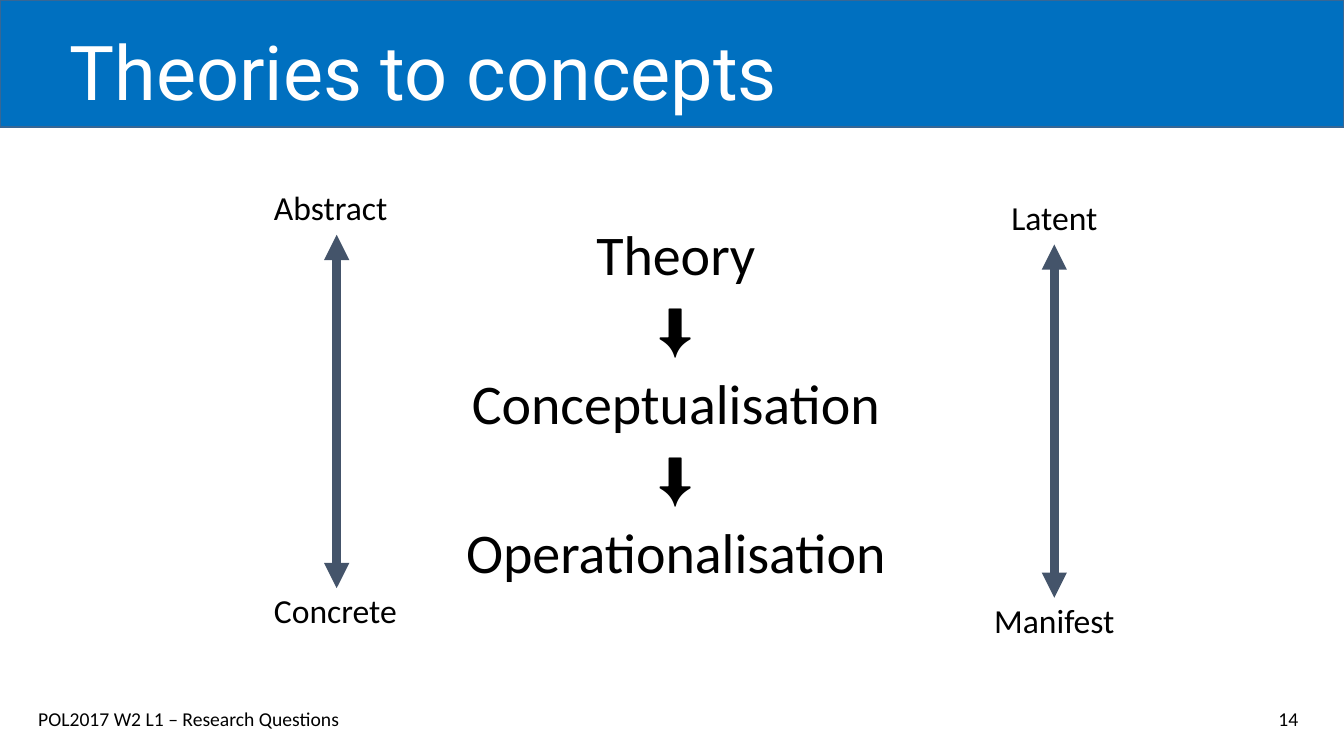
from lxml import etree
from pptx import Presentation
from pptx.dml.color import RGBColor
from pptx.enum.shapes import MSO_CONNECTOR, MSO_SHAPE
from pptx.enum.text import MSO_ANCHOR, PP_ALIGN
from pptx.oxml.ns import qn
from pptx.util import Pt

LEFT, CENTER, RIGHT = PP_ALIGN.LEFT, PP_ALIGN.CENTER, PP_ALIGN.RIGHT
TOP, BOTTOM = MSO_ANCHOR.TOP, MSO_ANCHOR.BOTTOM

# Content
TITLE = "Theories to concepts"
STEPS = ["Theory", "⬇", "Conceptualisation", "⬇", "Operationalisation"]
# (upper end, lower end, alignment, text left, text top, arrow x)
SCALES = [
    ("Abstract", "Concrete", LEFT, 188.6, 130.3, 240.5),
    ("Latent", "Manifest", CENTER, 697.7, 137.2, 753.1),
]
COURSE = "POL2017 W2 L1 – Research Questions"
PAGE = "14"

THEME = {
    "banner": RGBColor(0x00, 0x70, 0xC0),
    "banner_edge": RGBColor(0x37, 0x67, 0x95),
    "arrow": RGBColor(0x44, 0x54, 0x6A),
    "text": RGBColor(0, 0, 0),
    "title": RGBColor(0xFF, 0xFF, 0xFF),
    "body_font": "Calibri",
    "title_font": "Roboto",
    "title_size": 54,
    "step_size": 40,
    "scale_size": 24,
    "footer_size": 14,
}

# Layout, in points
SLIDE_W, SLIDE_H = 960, 540
BANNER_H = 90.7
SCALE_W, SCALE_H, SCALE_GAP = 110.9, 326.9, 259
ARROW_DROP, ARROW_LENGTH, ARROW_WIDTH = 37.4, 252.4, 6
FOOTER_TOP, FOOTER_H = 501.1, 28.8

prs = Presentation()
prs.slide_width, prs.slide_height = Pt(SLIDE_W), Pt(SLIDE_H)
slide = prs.slides.add_slide(prs.slide_layouts[6])


def add_text(lines, left, top, width, height, size, align=LEFT, gap=0,
             spacing=1.0, anchor=TOP, font="body_font", color="text"):
    box = slide.shapes.add_textbox(Pt(left), Pt(top), Pt(width), Pt(height))
    frame = box.text_frame
    frame.word_wrap = True
    frame.vertical_anchor = anchor
    for i, line in enumerate(lines):
        paragraph = frame.paragraphs[0] if i == 0 else frame.add_paragraph()
        paragraph.text = line
        paragraph.alignment = align
        paragraph.line_spacing = spacing
        paragraph.space_before = Pt(gap if i else 0)
        paragraph.font.name = THEME[font]
        paragraph.font.size = Pt(THEME[size])
        paragraph.font.color.rgb = THEME[color]


def add_double_arrow(x, top, bottom):
    arrow = slide.shapes.add_connector(
        MSO_CONNECTOR.STRAIGHT, Pt(x), Pt(top), Pt(x), Pt(bottom))
    arrow.line.color.rgb = THEME["arrow"]
    arrow.line.width = Pt(ARROW_WIDTH)
    properties = arrow._element.spPr
    outline = properties.find(qn("a:ln"))
    for end in ("a:headEnd", "a:tailEnd"):
        etree.SubElement(outline, qn(end), type="triangle")
    etree.SubElement(properties, qn("a:effectLst"))


# Banner and title
banner = slide.shapes.add_shape(
    MSO_SHAPE.RECTANGLE, Pt(0), Pt(0), Pt(SLIDE_W), Pt(BANNER_H))
banner.shadow.inherit = False
banner.fill.solid()
banner.fill.fore_color.rgb = THEME["banner"]
banner.line.color.rgb = THEME["banner_edge"]
banner.line.width = Pt(1)
add_text([TITLE], 42.5, 15.1, 874.8, 72, "title_size", spacing=0.9,
         anchor=BOTTOM, font="title_font", color="title")

# Steps from theory to measurement
add_text(STEPS, 324, 158.4, 317.5, 342.7, "step_size", CENTER,
         gap=10, spacing=0.9)

# Scales on either side
for upper, lower, align, left, top, arrow_x in SCALES:
    add_text([upper, lower], left, top, SCALE_W, SCALE_H, "scale_size",
             align, gap=SCALE_GAP)
    arrow_top = top + ARROW_DROP
    add_double_arrow(arrow_x, arrow_top, arrow_top + ARROW_LENGTH)

# Footer
add_text([COURSE], 20.2, FOOTER_TOP, 303.8, FOOTER_H, "footer_size")
add_text([PAGE], 731.5, FOOTER_TOP, 203, FOOTER_H, "footer_size", RIGHT)

prs.save("out.pptx")
